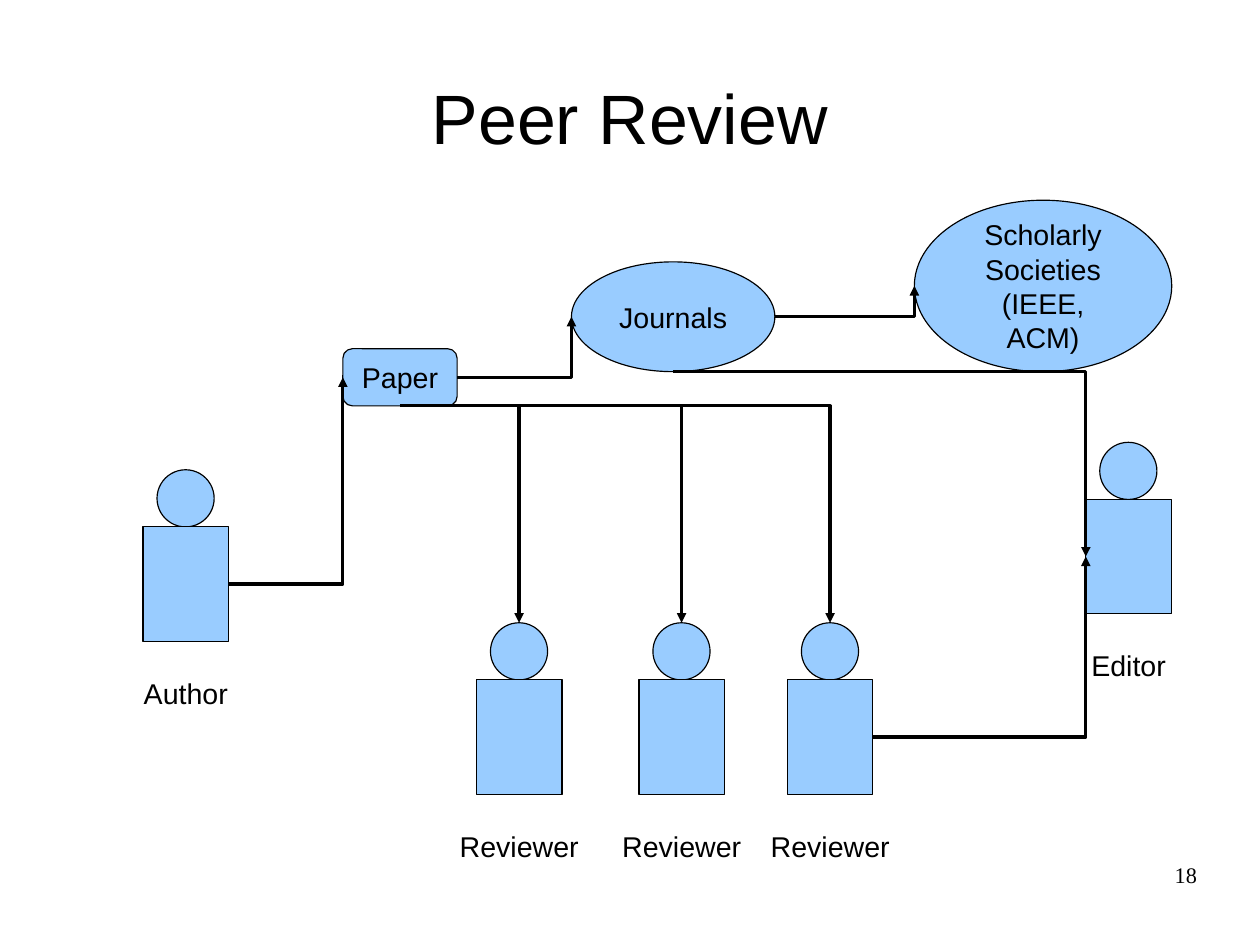
from lxml.etree import SubElement
from pptx import Presentation
from pptx.dml.color import RGBColor
from pptx.enum.shapes import MSO_CONNECTOR, MSO_SHAPE as SHAPE
from pptx.enum.text import MSO_ANCHOR as ANCHOR, PP_ALIGN as ALIGN
from pptx.oxml.ns import qn
from pptx.util import Cm, Pt

COLORS = {"ink": "000000", "fill": "99CCFF"}
SITES = {"left": (0, 0.5), "right": (1, 0.5), "top": (0.5, 0), "bottom": (0.5, 1)}


def rgb(name):
    return RGBColor.from_string(COLORS[name])


def site(sp, side):
    """Return the point at the middle of one side of a shape."""
    fx, fy = SITES[side]
    return int(sp.left + fx * sp.width), int(sp.top + fy * sp.height)


class Diagram:
    """Draws on one slide in one style."""

    def __init__(self, slide, font="Arial", size=18):
        self.shapes = slide.shapes
        self.font = font
        self.size = size

    def add_lines(self, sp, lines, size=None, font=None, align=ALIGN.CENTER,
                  anchor=ANCHOR.MIDDLE, margins=(0.25, 0.13)):
        tf = sp.text_frame
        tf.word_wrap = True
        tf.vertical_anchor = anchor
        tf.margin_left = tf.margin_right = Cm(margins[0])
        tf.margin_top = tf.margin_bottom = Cm(margins[1])
        for i, line in enumerate(lines):
            p = tf.add_paragraph() if i else tf.paragraphs[0]
            p.alignment = align
            r = p.add_run()
            r.text = line
            r.font.name = font or self.font
            r.font.size = Pt(size or self.size)
            r.font.color.rgb = rgb("ink")

    def text(self, x, y, w, h, line, **style):
        sp = self.shapes.add_textbox(Cm(x), Cm(y), Cm(w), Cm(h))
        self.add_lines(sp, [line], **style)

    def node(self, kind, x, y, w, h, *lines):
        sp = self.shapes.add_shape(kind, Cm(x), Cm(y), Cm(w), Cm(h))
        sp.shadow.inherit = False
        sp.fill.solid()
        sp.fill.fore_color.rgb = rgb("fill")
        sp.line.color.rgb = rgb("ink")
        sp.line.width = Pt(0)
        if lines:
            self.add_lines(sp, lines)
        return sp

    def person(self, cx, top, role):
        """Draw a labelled figure centred on cx; return its head and body."""
        head = self.node(SHAPE.OVAL, cx - 0.64, top, 1.27, 1.27)
        body = self.node(SHAPE.RECTANGLE, cx - 0.95, top + 1.27, 1.9, 2.54)
        self.text(cx - 1.59, top + 4.45, 3.18, 0.95, role, anchor=ANCHOR.TOP)
        return head, body

    def arrow(self, start, start_side, end, end_side):
        """Join two shapes: across first, then up or down."""
        c = self.shapes.add_connector(
            MSO_CONNECTOR.ELBOW, *site(start, start_side), *site(end, end_side))
        c.line.color.rgb = rgb("ink")
        c.line.width = Pt(0)
        props = c._element.spPr
        props.find(qn("a:prstGeom")).set("prst", "bentConnector2")
        SubElement(props.find(qn("a:ln")), qn("a:tailEnd"), type="triangle")
        SubElement(props, qn("a:effectLst"))


def main():
    prs = Presentation()
    prs.slide_width, prs.slide_height = Cm(28), Cm(21)
    s = prs.slides.add_slide(prs.slide_layouts[6])
    d = Diagram(s)

    d.text(1.4, 0.84, 25.2, 3.5, "Peer Review", size=44, margins=(0, 0))

    _, author = d.person(4.13, 10.44, "Author")
    societies = d.node(SHAPE.OVAL, 20.32, 4.45, 5.72, 3.81,
                       "Scholarly", "Societies", "(IEEE, ACM)")
    journals = d.node(SHAPE.OVAL, 12.7, 5.82, 4.52, 2.44, "Journals")
    paper = d.node(SHAPE.ROUNDED_RECTANGLE, 7.62, 7.75, 2.54, 1.27, "Paper")
    _, editor = d.person(25.08, 9.83, "Editor")
    reviewers = [d.person(cx, 13.84, "Reviewer") for cx in (11.54, 15.15, 18.45)]

    d.arrow(author, "right", paper, "left")
    d.arrow(paper, "right", journals, "left")
    d.arrow(journals, "right", societies, "left")
    for head, _ in reviewers:
        d.arrow(paper, "bottom", head, "top")
    _, last_reviewer = reviewers[-1]
    d.arrow(last_reviewer, "right", editor, "left")
    d.arrow(journals, "bottom", editor, "left")

    d.text(20.07, 19.13, 6.53, 1.45, "18", size=14, font="Times New Roman",
           align=ALIGN.RIGHT, anchor=ANCHOR.TOP, margins=(0, 0))
    prs.save("out.pptx")


if __name__ == "__main__":
    main()
